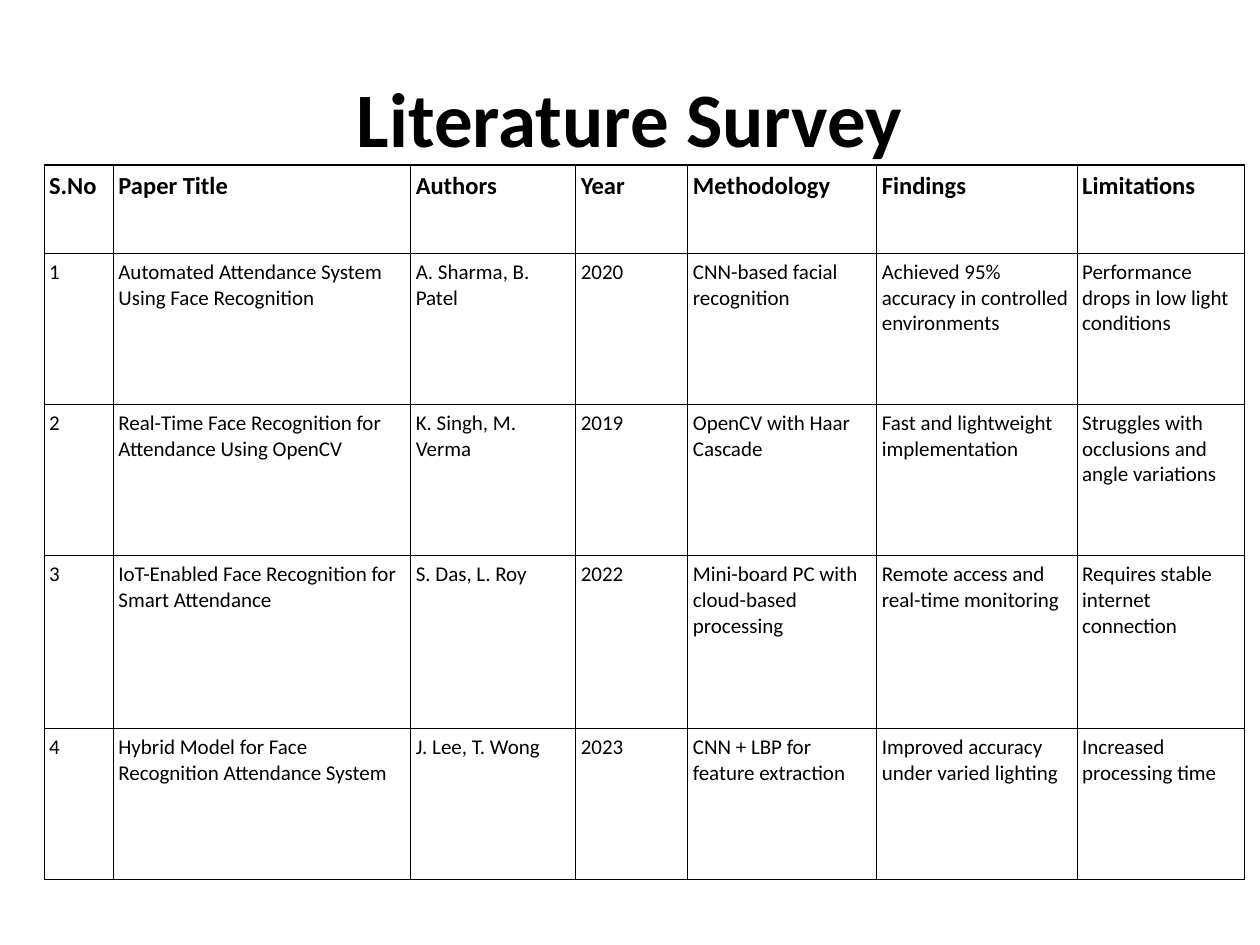
from pptx import Presentation
from pptx.dml.color import RGBColor
from pptx.enum import text
from pptx.oxml import parse_xml
from pptx.oxml.ns import nsdecls
from pptx.util import Inches, Pt

COLORS = {"ink": "000000", "paper": "FFFFFF"}
FONT = "Calibri"

COL_WIDTHS = [0.55, 2.36, 1.31, 0.89, 1.5, 1.59, 1.33]
ROW_HEIGHTS = [0.7, 1.2, 1.2, 1.37, 1.2]
HEADERS = ["S.No", "Paper Title", "Authors", "Year", "Methodology", "Findings", "Limitations"]
PAPERS = [
    ["1", "Automated Attendance System Using Face Recognition", "A. Sharma, B. Patel", "2020",
     "CNN-based facial recognition", "Achieved 95% accuracy in controlled environments",
     "Performance drops in low light conditions"],
    ["2", "Real-Time Face Recognition for Attendance Using OpenCV", "K. Singh, M. Verma", "2019",
     "OpenCV with Haar Cascade", "Fast and lightweight implementation",
     "Struggles with occlusions and angle variations"],
    ["3", "IoT-Enabled Face Recognition for Smart Attendance", "S. Das, L. Roy", "2022",
     "Mini-board PC with cloud-based processing", "Remote access and real-time monitoring",
     "Requires stable internet connection"],
    ["4", "Hybrid Model for Face Recognition Attendance System", "J. Lee, T. Wong", "2023",
     "CNN + LBP for feature extraction", "Improved accuracy under varied lighting",
     "Increased processing time"],
]


def write(tf, words, size=12, bold=False, color="ink", align=text.PP_ALIGN.LEFT):
    tf.word_wrap = True
    p = tf.paragraphs[0]
    p.alignment = align
    r = p.add_run()
    r.text = words
    r.font.name = FONT
    r.font.size = Pt(size)
    r.font.bold = bold
    r.font.color.rgb = RGBColor.from_string(COLORS[color])


def add_borders(cell, width=Pt(0.75)):
    # Borders come before the fill in the cell properties
    tc_pr = cell._tc.get_or_add_tcPr()
    for i, side in enumerate(("lnL", "lnR", "lnT", "lnB")):
        tc_pr.insert(i, parse_xml(
            f'<a:{side} {nsdecls("a")} w="{width}"><a:solidFill>'
            f'<a:srgbClr val="{COLORS["ink"]}"/></a:solidFill></a:{side}>'))


def add_title(s, words, left, top, width, height):
    sp = s.shapes.title
    sp.left, sp.top, sp.width, sp.height = left, top, width, height
    sp.text_frame.vertical_anchor = text.MSO_ANCHOR.MIDDLE
    write(sp.text_frame, words, size=44, bold=True, align=text.PP_ALIGN.CENTER)


def add_survey(s, rows, left, top, width, height):
    table = s.shapes.add_table(len(rows), len(rows[0]), left, top, width, height).table
    table.horz_banding = False
    # Share the box out in proportion to the column and row sizes
    for col, w in zip(table.columns, COL_WIDTHS):
        col.width = int(width * w / sum(COL_WIDTHS))
    for row, h in zip(table.rows, ROW_HEIGHTS):
        row.height = int(height * h / sum(ROW_HEIGHTS))
    for i, row in enumerate(rows):
        for j, words in enumerate(row):
            cell = table.cell(i, j)
            cell.margin_left = cell.margin_right = Inches(0.04)
            cell.margin_top = cell.margin_bottom = Inches(0.05)
            cell.fill.solid()
            cell.fill.fore_color.rgb = RGBColor.from_string(COLORS["paper"])
            add_borders(cell)
            write(cell.text_frame, words, size=12 if i else 14, bold=i == 0)


def main():
    prs = Presentation()
    prs.slide_width, prs.slide_height = Inches(10), Inches(7.5)
    s = prs.slides.add_slide(prs.slide_layouts[5])

    # Heading
    add_title(s, "Literature Survey", Inches(0.5), Inches(0.3), Inches(9), Inches(1.25))

    # Table of surveyed papers
    add_survey(s, [HEADERS] + PAPERS, Inches(0.35), Inches(1.31), Inches(9.53), Inches(5.67))

    prs.save("out.pptx")


if __name__ == "__main__":
    main()
